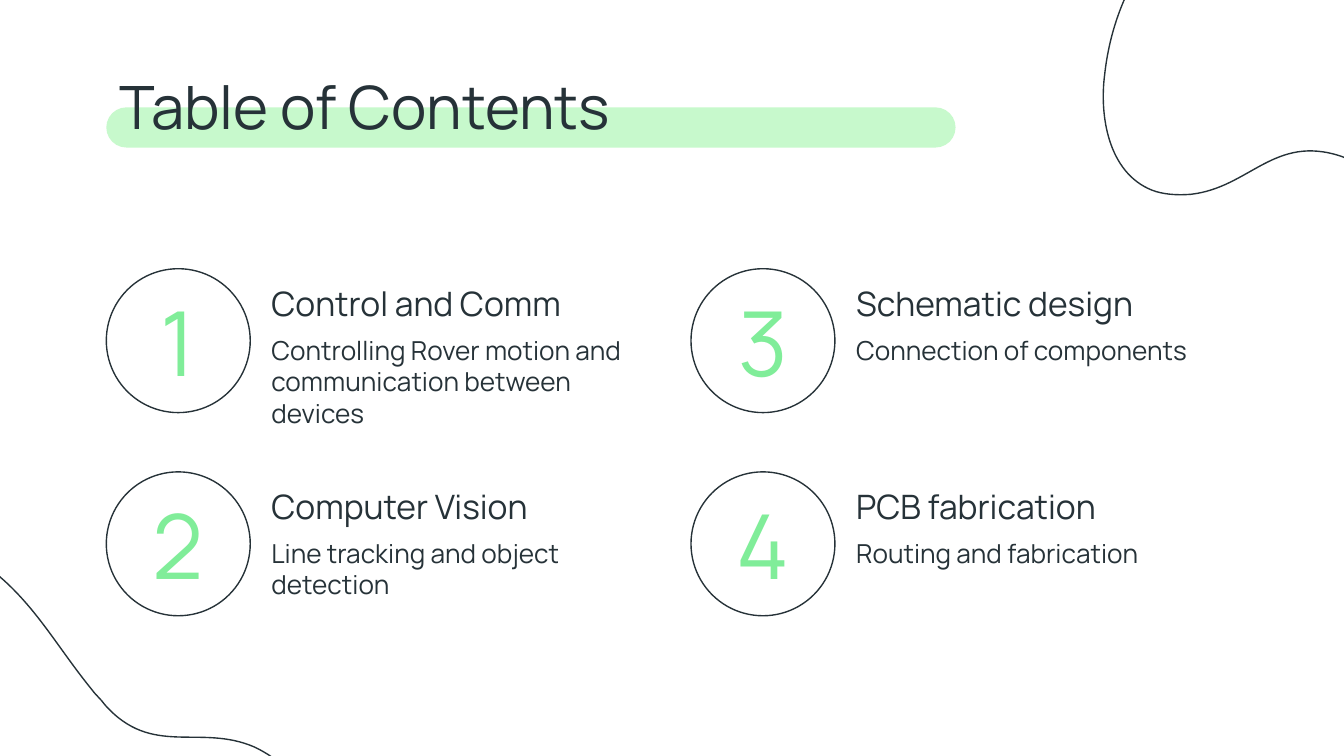
from pptx import Presentation
from pptx import util as u
from pptx.dml import color
from pptx.enum import shapes, text
from pptx.oxml import ns, xmlchemy

COLORS = {"ink": "263238", "number": "80ED99", "highlight": "C7F9CC", "paper": "FFFFFF"}
FONT = "Manrope"

BLOB = [
    (8.98, 0.02), (8.77, 0.02), (8.52, 0.09), (8.27, 0.21), (7.27, 0.73),
    (7.21, 1.84), (5.87, 1.9), (5.73, 1.89), (5.6, 1.92), (5.47, 1.91),
    (4.84, 1.91), (4.24, 1.84), (3.67, 1.84), (2.96, 1.84), (2.29, 1.93),
    (1.55, 2.35), (0.27, 3.04), (0.01, 4.06), (0.27, 5.24), (0.68, 7.31),
    (2.46, 8.26), (4.51, 8.27), (5.37, 8.26), (6.28, 8.08), (7.16, 7.74),
    (9.96, 6.67), (11.25, 4.21), (10.6, 1.74), (10.42, 0.99), (9.88, 0.03),
    (8.98, 0.02),
]

TOPICS = [
    ("Control and Comm", "Controlling Rover motion and communication between devices"),
    ("Computer Vision", "Line tracking and object detection"),
    ("Schematic design", "Connection of components"),
    ("PCB fabrication", "Routing and fabrication"),
]


def rgb(name):
    return color.RGBColor.from_string(COLORS[name])


def write(holder, words, size, ink="ink", align=text.PP_ALIGN.LEFT, anchor=text.MSO_ANCHOR.TOP):
    frame = holder.text_frame
    frame.word_wrap = True
    frame.auto_size = text.MSO_AUTO_SIZE.NONE
    frame.vertical_anchor = anchor
    frame.margin_left = frame.margin_right = u.Cm(0.25)
    frame.margin_top = frame.margin_bottom = u.Cm(0.25)
    frame.text = words
    paragraph = frame.paragraphs[0]
    paragraph.alignment = align
    font = paragraph.runs[0].font
    font.name = FONT
    font.size = u.Pt(size)
    font.color.rgb = rgb(ink)


def outline(shape):
    shape.shadow.inherit = False
    shape.fill.background()
    shape.line.color.rgb = rgb("ink")
    shape.line.width = u.Pt(0.75)


def add_blob(slide, left, top, rotation):
    points = [(u.Cm(left + x), u.Cm(top + y)) for x, y in BLOB]
    builder = slide.shapes.build_freeform(*points[0])
    builder.add_line_segments(points[1:], close=True)
    blob = builder.convert_to_shape()
    segments = list(blob._element.iter(ns.qn("a:lnTo")))
    for start in range(0, len(segments), 3):
        curve = xmlchemy.OxmlElement("a:cubicBezTo")
        segments[start].addprevious(curve)
        for segment in segments[start:start + 3]:
            curve.append(segment[0])
            segment.getparent().remove(segment)
    outline(blob)
    blob.rotation = rotation


def add_heading(slide, left, top, width, height):
    bar = slide.shapes.add_shape(
        shapes.MSO_SHAPE.ROUNDED_RECTANGLE,
        u.Cm(left), u.Cm(top + 0.96), u.Cm(16.05), u.Cm(0.76))
    bar.adjustments[0] = 0.5
    bar.shadow.inherit = False
    bar.fill.solid()
    bar.fill.fore_color.rgb = rgb("highlight")
    bar.line.fill.background()

    title = slide.shapes.title
    title.left, title.top = u.Cm(left), u.Cm(top)
    title.width, title.height = u.Cm(width), u.Cm(height)
    write(title, "Table of Contents", 32)
    bar._element.addnext(title._element)


def add_topic(slide, left, top, width, number, name, summary):
    def label(x, y, w, h, words, size, **style):
        box = slide.shapes.add_textbox(u.Cm(left + x), u.Cm(top + y), u.Cm(w), u.Cm(h))
        write(box, words, size, **style)

    diameter, indent = 2.72, 2.87
    circle = slide.shapes.add_shape(
        shapes.MSO_SHAPE.OVAL, u.Cm(left), u.Cm(top), u.Cm(diameter), u.Cm(diameter))
    outline(circle)
    label(0.13, 0.38, diameter - 0.26, diameter - 0.76, str(number), 48, ink="number",
          align=text.PP_ALIGN.CENTER, anchor=text.MSO_ANCHOR.MIDDLE)
    label(indent, 0.01, width - indent, 1.04, name, 18)
    label(indent, 0.99, width - indent, 1.7, summary, 14)


def add_topics(slide, left, top, width, height):
    gap_x, gap_y = 0.74, 1.12
    topic_width = (width - gap_x) / 2
    topic_height = (height - gap_y) / 2
    for index, (name, summary) in enumerate(TOPICS):
        column, row = divmod(index, 2)
        add_topic(slide, left + column * (topic_width + gap_x),
                  top + row * (topic_height + gap_y), topic_width, index + 1, name, summary)


def main():
    deck = Presentation()
    deck.slide_width, deck.slide_height = u.Cm(25.4), u.Cm(14.29)
    slide = deck.slides.add_slide(deck.slide_layouts[5])
    slide.background.fill.solid()
    slide.background.fill.fore_color.rgb = rgb("paper")
    add_blob(slide, 20.75, -3.2, 201)
    add_blob(slide, -5.54, 10.41, 50.9)
    add_heading(slide, 2.01, 1.07, 21.41, 1.7)
    add_topics(slide, 2.01, 5.08, 21.36, 6.56)
    deck.save("out.pptx")


if __name__ == "__main__":
    main()
